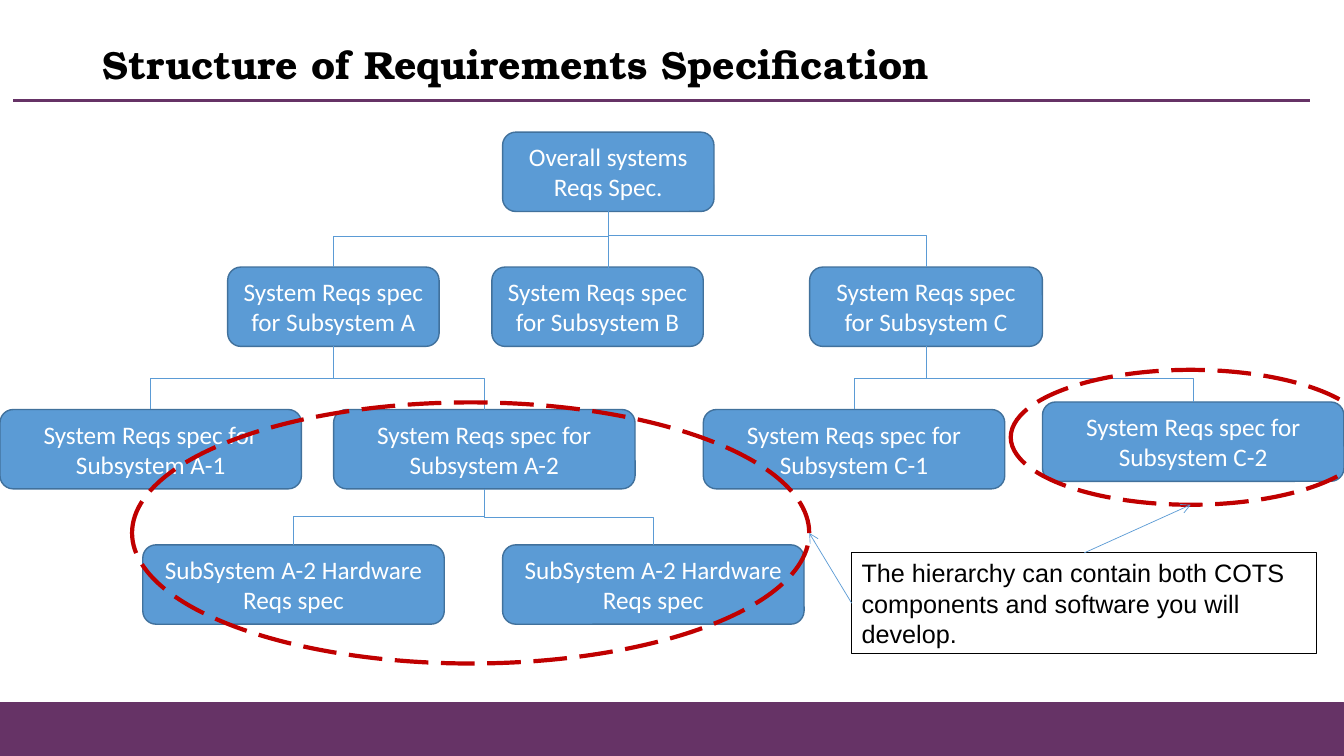
from lxml import etree
from pptx import Presentation
from pptx.dml.color import RGBColor
from pptx.enum.dml import MSO_LINE
from pptx.enum.shapes import MSO_CONNECTOR, MSO_SHAPE
from pptx.enum.text import MSO_ANCHOR, PP_ALIGN
from pptx.oxml.ns import qn
from pptx.util import Cm, Pt

# Content; all lengths in cm
TITLE = "Structure of Requirements Specification"
NOTE = "The hierarchy can contain both COTS components and software you will develop."
SPEC = "System Reqs spec for Subsystem "
HARDWARE = "SubSystem A-2 Hardware Reqs spec"
BOX_H = 2
BOXES = {  # key: (text, left, top, width)
    "root": ("Overall systems Reqs Spec.", 12.67, 3.33, 5.33),
    "A": (SPEC + "A", 5.74, 6.73, 5.33),
    "C": (SPEC + "C", 20.41, 6.73, 5.87),
    "B": (SPEC + "B", 12.4, 6.73, 5.33),
    "A-1": (SPEC + "A-1", 0, 10.32, 7.6),
    "A-2": (SPEC + "A-2", 8.41, 10.32, 7.6),
    "C-1": (SPEC + "C-1", 17.73, 10.32, 7.6),
    "C-2": (SPEC + "C-2", 26.28, 10.13, 7.6),
    "hw1": (HARDWARE, 3.6, 13.73, 7.6),
    "hw2": (HARDWARE, 12.67, 13.73, 7.6),
}
LEFT_BRANCHES = [  # parent, child, position of the bend
    ("root", "A", 0.55), ("A", "A-1", 0.5), ("C", "C-1", 0.5), ("A-2", "hw1", 0.5)]
RIGHT_BRANCHES = [("A", "A-2", 0.5), ("A-2", "hw2", 0.5)]
CORNER_BRANCHES = [("root", "C", 5.93), ("C", "C-2", 9.53)]  # parent, child, start height
B_BRANCH = ((15.34, 5.93), (15.6, 7.14), 0.73)
ELLIPSES = [(25.48, 9.32, 9.07, 3.4), (3.33, 10.14, 17.07, 6.58)]
NOTE_AT = (21.47, 13.93, 11.73, 2.54)
PURPLE, BLUE, EDGE, RED = "663366", "5B9BD5", "41719C", "C00000"


def rgb(color):
    return RGBColor.from_string(color)


def add_shape(kind, at, line, width, fill=None):
    sp = s.shapes.add_shape(kind, *map(Cm, at))
    sp.shadow.inherit = False
    if fill:
        sp.fill.solid()
        sp.fill.fore_color.rgb = rgb(fill)
    else:
        sp.fill.background()
    sp.line.color.rgb = rgb(line)
    sp.line.width = Pt(width)
    return sp


def add_line(x1, y1, x2, y2, color=BLUE, width=0.5, arrow=False, kind=MSO_CONNECTOR.STRAIGHT):
    cx = s.shapes.add_connector(kind, *map(Cm, (x1, y1, x2, y2)))
    cx.line.color.rgb = rgb(color)
    cx.line.width = Pt(width)
    if arrow:
        etree.SubElement(cx.line._get_or_add_ln(), qn("a:tailEnd"), type="arrow")
    etree.SubElement(cx._element.spPr, qn("a:effectLst"))
    return cx


def add_elbow(start, end, bend):
    """Vertical, horizontal, vertical line to a point further right: an elbow turned on its side."""
    (x1, y1), (x2, y2) = start, end
    mid_x, mid_y = (x1 + x2) / 2, (y1 + y2) / 2
    half_w = abs(y2 - y1) / 2
    half_h = (x2 - x1) / 2 * (1 if y2 > y1 else -1)
    cx = add_line(mid_x + half_w, mid_y - half_h, mid_x - half_w, mid_y + half_h,
                  kind=MSO_CONNECTOR.ELBOW)
    spPr = cx._element.spPr
    spPr.find(qn("a:xfrm")).set("rot", str((270 if y2 > y1 else 90) * 60000))
    guides = spPr.find(qn("a:prstGeom")).find(qn("a:avLst"))
    etree.SubElement(guides, qn("a:gd"), name="adj1", fmla=f"val {round(bend * 100000)}")


def add_corner(start, end):
    cx = add_line(*start, *end, kind=MSO_CONNECTOR.ELBOW)
    cx._element.spPr.find(qn("a:prstGeom")).set("prst", "bentConnector2")


def put_text(sp, text, font="Calibri", size=18, color="FFFFFF", bold=False,
             align=PP_ALIGN.LEFT, anchor=MSO_ANCHOR.MIDDLE, spacing=1.0):
    tf = sp.text_frame
    tf.word_wrap = True
    tf.vertical_anchor = anchor
    p = tf.paragraphs[0]
    p.alignment = align
    p.line_spacing = spacing
    r = p.add_run()
    r.text = text
    r.font.name, r.font.size, r.font.bold = font, Pt(size), bold
    r.font.color.rgb = rgb(color)


def top_of(key):
    _, left, top, width = BOXES[key]
    return left + width / 2, top


def bottom_of(key):
    x, top = top_of(key)
    return x, top + BOX_H


prs = Presentation()
prs.slide_width, prs.slide_height = Cm(33.88), Cm(19.05)
s = prs.slides.add_slide(prs.slide_layouts[6])

# Footer bar, title and rule
add_shape(MSO_SHAPE.RECTANGLE, (0, 17.7, 33.87, 1.4), PURPLE, 1, PURPLE)
add_line(0.33, 2.54, 33.03, 2.54, PURPLE, 2.25)
title = s.shapes.add_textbox(Cm(2.34), Cm(0.76), Cm(29.21), Cm(1.85))
put_text(title, TITLE, font="TeX Gyre Bonum", size=28, color="000000", bold=True, spacing=0.9)

# Boxes of the hierarchy
for text, left, top, width in BOXES.values():
    box = add_shape(MSO_SHAPE.ROUNDED_RECTANGLE, (left, top, width, BOX_H), EDGE, 1, BLUE)
    put_text(box, text, align=PP_ALIGN.CENTER)

# Branches
for parent, child, bend in LEFT_BRANCHES:
    add_elbow(top_of(child), bottom_of(parent), bend)
for parent, child, bend in RIGHT_BRANCHES:
    add_elbow(bottom_of(parent), top_of(child), bend)
for parent, child, y in CORNER_BRANCHES:
    add_corner((top_of(parent)[0], y), top_of(child))
add_elbow(*B_BRANCH)

# Dashed ellipses
for at in ELLIPSES:
    add_shape(MSO_SHAPE.OVAL, at, RED, 3).line.dash_style = MSO_LINE.LONG_DASH

# Note with an arrow to each ellipse
note = add_shape(MSO_SHAPE.RECTANGLE, NOTE_AT, "000000", 0.75)
put_text(note, NOTE, font="Arial", color="000000", anchor=MSO_ANCHOR.TOP)
left, top, width, height = NOTE_AT
(x1, y1, w1, h1), (x2, y2, w2, h2) = ELLIPSES
up = add_line(left + width / 2, top, x1 + w1 / 2, y1 + h1, arrow=True)
up.begin_connect(note, 0)
side = add_line(left, top + height / 2, x2 + w2, y2 + h2 / 2, arrow=True)
side.begin_connect(note, 1)

prs.save("out.pptx")
